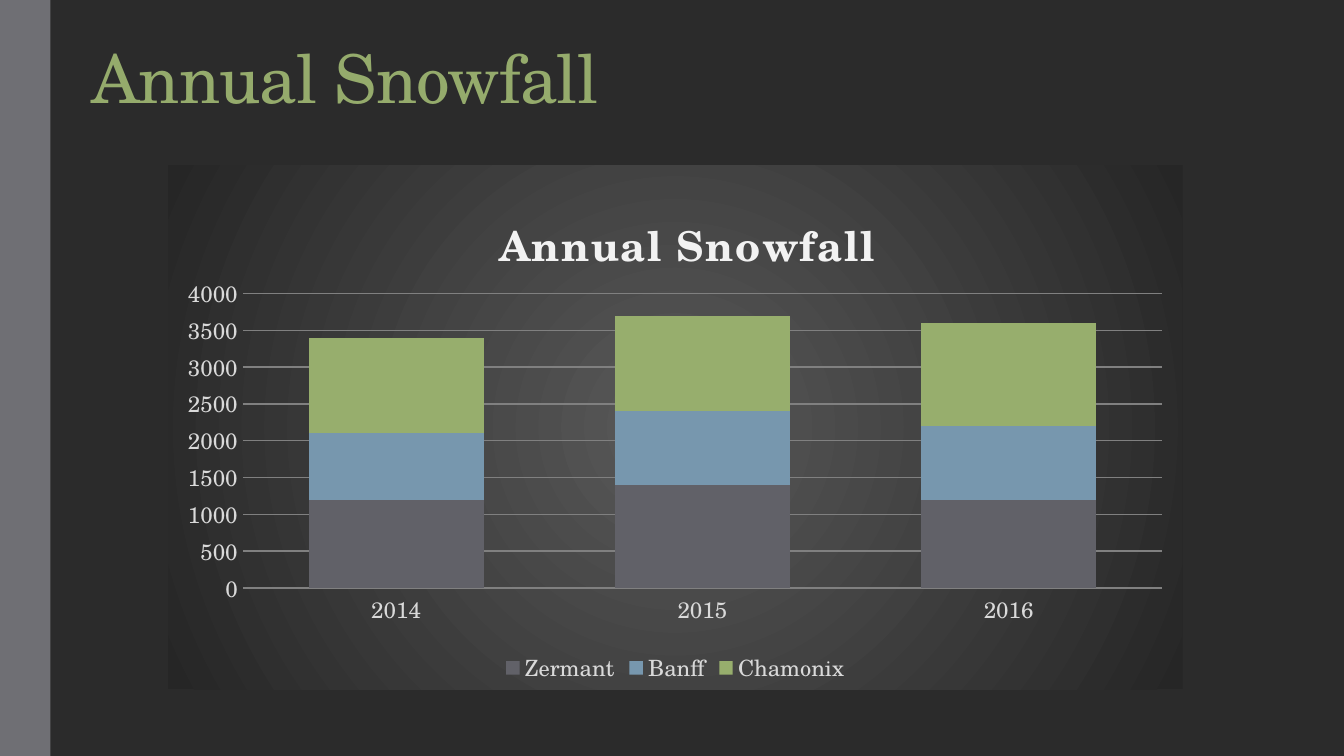
from typing import NamedTuple

from lxml.etree import SubElement
from pptx import Presentation
from pptx.chart.data import CategoryChartData
from pptx.dml.color import RGBColor
from pptx.enum.chart import XL_CHART_TYPE, XL_LEGEND_POSITION, XL_TICK_MARK
from pptx.enum.shapes import MSO_SHAPE
from pptx.enum.text import MSO_ANCHOR
from pptx.oxml import parse_xml
from pptx.oxml.ns import nsdecls, qn
from pptx.util import Pt

FONT = "TeX Gyre Schola"
HEADING = "Annual Snowfall"
YEARS = ["2014", "2015", "2016"]
CHART_WIDTH, CHART_HEIGHT = 543.6, 280.8


class Resort(NamedTuple):
    name: str
    snowfall: tuple[int, ...]
    color: str


RESORTS = [
    Resort("Zermant", (1200, 1400, 1200), "616168"),
    Resort("Banff", (900, 1000, 1000), "7797AE"),
    Resort("Chamonix", (1300, 1300, 1400), "97AE6D"),
]


def paint(target, color: str) -> None:
    """Give a fill one solid colour."""
    target.solid()
    target.fore_color.rgb = RGBColor.from_string(color)


def style_font(font, size: float, color: str, bold: bool = False) -> None:
    font.name = FONT
    font.size = Pt(size)
    font.bold = bold
    paint(font.fill, color)


def add_span(para, text: str, size: float, color: str, spacing: int,
             bold: bool = False) -> None:
    """Add a run; spacing is in hundredths of a point."""
    span = para.add_run()
    span.text = text
    style_font(span.font, size, color, bold)
    span._r.get_or_add_rPr().set("spc", str(spacing))


def place(parent, index: int, **points: float) -> None:
    """Set a manual chart layout from x, y, w and h in points."""
    for old in parent.findall(qn("c:layout")):
        parent.remove(old)
    layout = parent.makeelement(qn("c:layout"))
    parent.insert(index, layout)
    manual = SubElement(layout, qn("c:manualLayout"))
    if "w" in points:
        SubElement(manual, qn("c:layoutTarget"), val="inner")
    for key in ("x", "y"):
        SubElement(manual, qn(f"c:{key}Mode"), val="edge")
    for key, length in points.items():
        whole = CHART_WIDTH if key in "xw" else CHART_HEIGHT
        SubElement(manual, qn(f"c:{key}"), val=str(length / whole))


def fill_chart_area(chart, center: str, edge: str) -> None:
    """Fill the chart area with a circular gradient."""
    properties = parse_xml(
        f'<c:spPr {nsdecls("c", "a")}><a:gradFill><a:gsLst>'
        f'<a:gs pos="0"><a:srgbClr val="{center}"/></a:gs>'
        f'<a:gs pos="100000"><a:srgbClr val="{edge}"/></a:gs></a:gsLst>'
        '<a:path path="circle"><a:fillToRect l="50000" t="50000" r="50000" b="50000"/>'
        '</a:path></a:gradFill><a:ln><a:noFill/></a:ln></c:spPr>')
    chart.element.find(qn("c:chart")).addnext(properties)


def add_heading(slide) -> None:
    box = slide.shapes.add_textbox(Pt(41.76), Pt(16.56), Pt(347.76), Pt(49.68))
    frame = box.text_frame
    frame.word_wrap = True
    frame.vertical_anchor = MSO_ANCHOR.BOTTOM
    para = frame.paragraphs[0]
    para.line_spacing = 0.85
    add_span(para, HEADING, 36, "95AB6C", -40)


def add_snowfall_chart(slide) -> None:
    data = CategoryChartData()
    data.categories = YEARS
    for resort in RESORTS:
        data.add_series(resort.name, resort.snowfall)
    chart = slide.shapes.add_chart(
        XL_CHART_TYPE.COLUMN_STACKED, Pt(90), Pt(88.56),
        Pt(CHART_WIDTH), Pt(CHART_HEIGHT), data).chart
    style_font(chart.font, 10, "FFFFFF")
    fill_chart_area(chart, "595959", "262626")

    chart.has_title = True
    title = chart.chart_title
    add_span(title.text_frame.paragraphs[0], HEADING, 22, "F2F2F2", 100, bold=True)
    place(title.element, 1, x=173.5, y=19.5)
    place(chart.element.find(f".//{qn('c:plotArea')}"), 0, x=40.2, y=68.7, w=492.3, h=157.8)

    plot = chart.plots[0]
    plot.gap_width = 75
    plot.overlap = 100
    plot.vary_by_categories = False
    for series, resort in zip(plot.series, RESORTS):
        paint(series.format.fill, resort.color)

    for axis in (chart.category_axis, chart.value_axis):
        axis.major_tick_mark = axis.minor_tick_mark = XL_TICK_MARK.NONE
        axis.format.line.fill.background()
        style_font(axis.tick_labels.font, 12, "D9D9D9")
    values = chart.value_axis
    values.minimum_scale, values.maximum_scale, values.major_unit = 0, 4000, 500
    grid = values.major_gridlines.format.line
    grid.width = Pt(0.75)
    paint(grid.fill, "808080")

    chart.has_legend = True
    chart.legend.position = XL_LEGEND_POSITION.BOTTOM
    chart.legend.include_in_layout = False
    style_font(chart.legend.font, 12, "D9D9D9")


def main() -> None:
    deck = Presentation()
    deck.slide_width, deck.slide_height = Pt(720), Pt(405)
    slide = deck.slides.add_slide(deck.slide_layouts[6])
    paint(slide.background.fill, "2B2B2B")

    side_band = slide.shapes.add_shape(MSO_SHAPE.RECTANGLE, 0, 0, Pt(27), deck.slide_height)
    side_band.shadow.inherit = False
    paint(side_band.fill, "6F6F74")
    side_band.line.fill.background()

    add_snowfall_chart(slide)
    add_heading(slide)
    deck.save("out.pptx")


if __name__ == "__main__":
    main()
